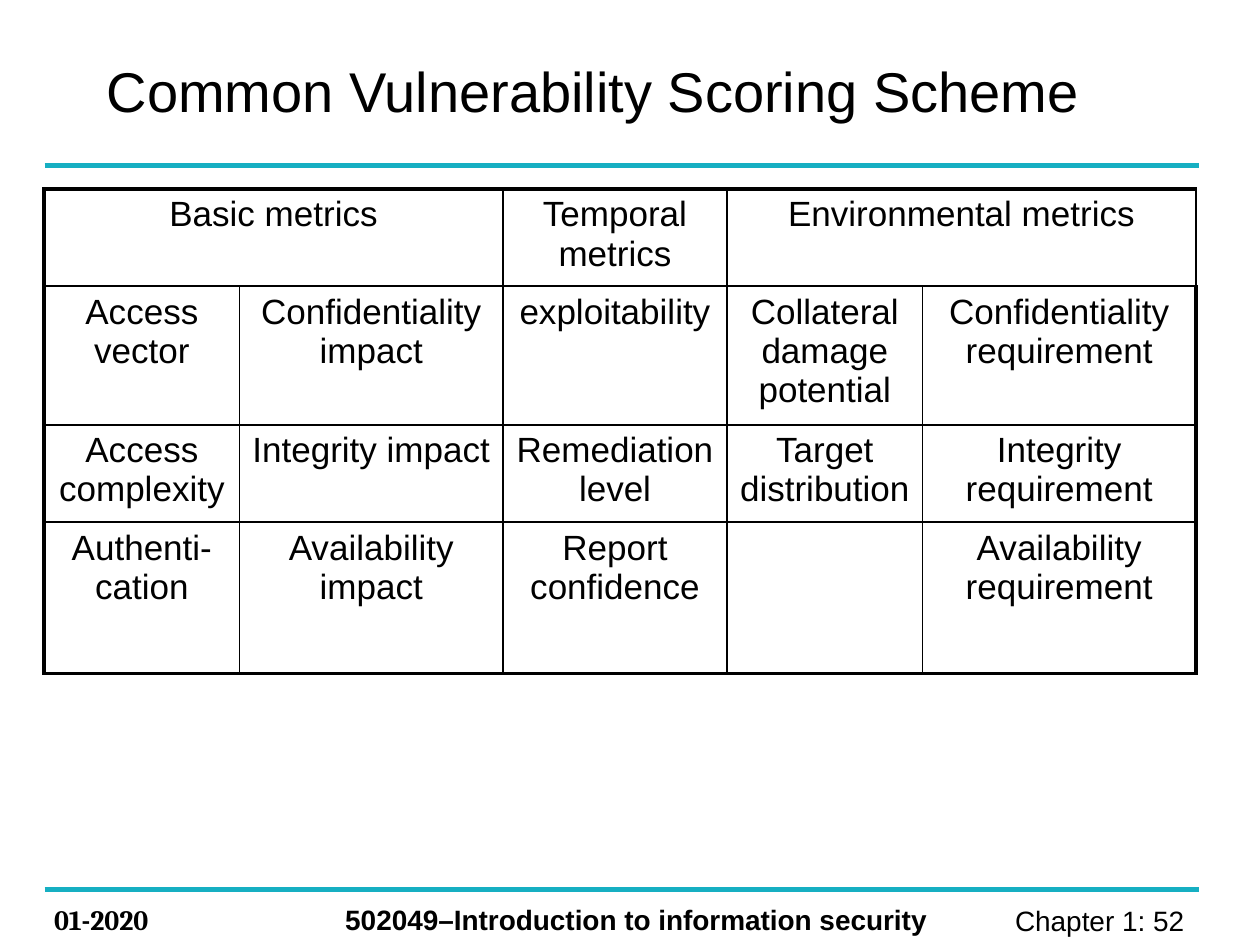
from dataclasses import dataclass

from lxml.etree import SubElement
from pptx import Presentation
from pptx.dml.color import RGBColor as Rgb
from pptx.enum.shapes import MSO_CONNECTOR as Link
from pptx.enum.text import MSO_ANCHOR as Anchor, PP_ALIGN as Align
from pptx.oxml.ns import qn
from pptx.util import Cm, Pt

INK = {"text": "000000", "rule": "16AFC2", "grid": "000000"}
THIN, THICK = 1, 2.25

COLS = [3.94, 5.31, 4.52, 3.94, 5.51]
ROWS = [1.96, 2.79, 1.96, 3.05]
CELLS = [
    ["Basic metrics", "", "Temporal metrics", "Environmental metrics", ""],
    ["Access vector", "Confidentiality impact", "exploitability",
     "Collateral damage potential", "Confidentiality requirement"],
    ["Access complexity", "Integrity impact", "Remediation level",
     "Target distribution", "Integrity requirement"],
    ["Authenti-cation", "Availability impact", "Report confidence",
     "", "Availability requirement"],
]
SPANS = [(0, 1), (3, 4)]


@dataclass
class Label:
    text: str
    left: float
    top: float
    width: float
    height: float
    size: float = 16
    font: str = "Arial"
    bold: bool = False
    align: Align = Align.LEFT
    anchor: Anchor = Anchor.TOP


LABELS = [
    Label("Chapter 1: 52 ", 18.69, 18.08, 5.59, 0.94, align=Align.RIGHT),
    Label("01-2020", 0.84, 18.06, 3.38, 0.94, font="Cambria", bold=True),
    Label("502049–Introduction to information security",
          6.71, 18.06, 12.8, 0.94, bold=True),
    Label("Common Vulnerability Scoring Scheme",
          1.9, 0.71, 21.39, 2.21, size=32, anchor=Anchor.MIDDLE),
]


def style(para, size: float, font: str, bold: bool, align: Align) -> None:
    para.alignment = align
    para.font.size = Pt(size)
    para.font.name = font
    para.font.bold = bold
    para.font.color.rgb = Rgb.from_string(INK["text"])


def add_label(slide, item: Label) -> None:
    box = slide.shapes.add_textbox(
        Cm(item.left), Cm(item.top), Cm(item.width), Cm(item.height))
    frame = box.text_frame
    frame.word_wrap = True
    frame.vertical_anchor = item.anchor
    frame.text = item.text
    style(frame.paragraphs[0], item.size, item.font, item.bold, item.align)


def add_rule(slide, top: float) -> None:
    rule = slide.shapes.add_connector(
        Link.STRAIGHT, Cm(0.9), Cm(top), Cm(24.18), Cm(top))
    rule.line.color.rgb = Rgb.from_string(INK["rule"])
    rule.line.width = Pt(3)
    SubElement(rule._element.spPr, qn("a:effectLst"))


def add_edge(cell, side: str, width: float) -> None:
    props = cell._tc.get_or_add_tcPr()
    edge = SubElement(props, qn(f"a:ln{side}"), w=str(Pt(width)))
    fill = SubElement(edge, qn("a:solidFill"))
    SubElement(fill, qn("a:srgbClr"), val=INK["grid"])


def add_grid(slide) -> None:
    """Draw the metrics table with a thick frame and thin inner lines."""
    frame = slide.shapes.add_table(
        len(ROWS), len(COLS), Cm(0.89), Cm(3.81), Cm(sum(COLS)), Cm(sum(ROWS)))
    table = frame.table
    table.first_row = table.horz_banding = False
    for col, width in zip(table.columns, COLS):
        col.width = Cm(width)
    for row, height in zip(table.rows, ROWS):
        row.height = Cm(height)
    for r, texts in enumerate(CELLS):
        for c, text in enumerate(texts):
            cell = table.cell(r, c)
            outer = {"L": c == 0, "R": c == len(COLS) - 1,
                     "T": r == 0, "B": r == len(ROWS) - 1}
            for side, edge in outer.items():
                add_edge(cell, side, THICK if edge else THIN)
            cell.fill.background()
            cell.text = text
            style(cell.text_frame.paragraphs[0], 20, "Arial", False, Align.CENTER)
    for first, last in SPANS:
        table.cell(0, first).merge(table.cell(0, last))


def main() -> None:
    deck = Presentation()
    deck.slide_width, deck.slide_height = Cm(25.4), Cm(19.05)
    slide = deck.slides.add_slide(deck.slide_layouts[6])
    for top in (3.33, 17.93):
        add_rule(slide, top)
    for item in LABELS:
        add_label(slide, item)
    add_grid(slide)
    deck.save("out.pptx")


if __name__ == "__main__":
    main()
